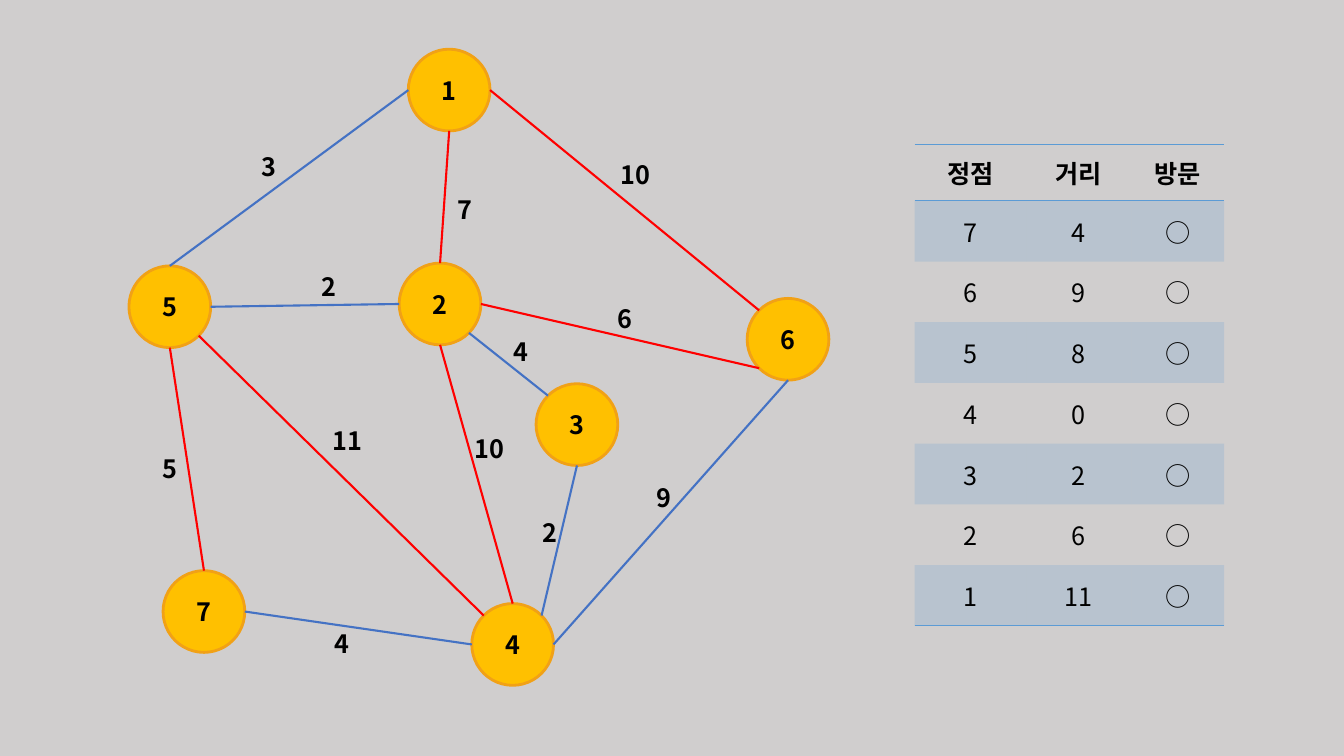
from lxml import etree
from pptx import Presentation, util as u
from pptx.dml.color import RGBColor
from pptx.enum import shapes, text
from pptx.oxml.ns import qn

FONT = "Noto Sans CJK KR"
BLACK = RGBColor(0x00, 0x00, 0x00)
GREY = RGBColor(0xD0, 0xCE, 0xCE)
GOLD = RGBColor(0xFF, 0xC0, 0x00)
ORANGE = RGBColor(0xF1, 0xA1, 0x16)
RED = RGBColor(0xFF, 0x00, 0x00)
BLUE = RGBColor(0x44, 0x72, 0xC4)
SKY = RGBColor(0x5B, 0x9B, 0xD5)
NO_TABLE_STYLE = "{2D5ABB26-0587-4C30-8999-92F81FD0307C}"

RADIUS = 1.03
DIAGONAL = 0.5 ** 0.5
SIDES = {
    "N": (0, -1), "E": (1, 0), "S": (0, 1), "W": (-1, 0),
    "NE": (DIAGONAL, -DIAGONAL), "SE": (DIAGONAL, DIAGONAL),
    "SW": (-DIAGONAL, DIAGONAL), "NW": (-DIAGONAL, -DIAGONAL),
}
# Vertex centres in cm
VERTICES = {
    1: (11.32, 2.27), 6: (19.86, 8.55), 5: (4.28, 7.73), 4: (12.92, 16.24),
    7: (5.14, 15.41), 3: (14.54, 10.7), 2: (11.09, 7.66),
}
# Start vertex and side, end vertex and side, colour, weight, label corner in cm
EDGES = [
    (1, "E", 6, "NW", RED, 10, (15.39, 3.89)),
    (5, "N", 1, "W", BLUE, 3, (6.33, 3.7)),
    (2, "E", 6, "SW", RED, 6, (15.3, 7.52)),
    (3, "S", 4, "NE", BLUE, 2, (13.41, 12.9)),
    (4, "E", 6, "S", BLUE, 9, (16.29, 12.02)),
    (2, "SE", 3, "NW", BLUE, 4, (12.7, 8.36)),
    (5, "S", 7, "N", RED, 5, (3.84, 11.3)),
    (1, "S", 2, "N", RED, 7, (11.28, 4.78)),
    (5, "E", 2, "W", BLUE, 2, (7.85, 6.71)),
    (2, "S", 4, "N", RED, 10, (11.71, 10.8)),
    (7, "E", 4, "W", BLUE, 4, (8.18, 15.7)),
    (5, "SE", 4, "NW", RED, 11, (8.13, 10.59)),
]
DISTANCES = [
    ("정점", "거리", "방문"),
    (7, 4, "○"), (6, 9, "○"), (5, 8, "○"), (4, 0, "○"),
    (3, 2, "○"), (2, 6, "○"), (1, 11, "○"),
]


def write(frame, words, bold=True, align=text.PP_ALIGN.CENTER):
    para = frame.paragraphs[0]
    para.alignment = align
    span = para.add_run()
    span.text = str(words)
    span.font.color.rgb = BLACK
    for name, value in {"name": FONT, "size": u.Pt(18), "bold": bold}.items():
        setattr(span.font, name, value)
    east_asian = etree.SubElement(span.font._element, qn("a:ea"))
    east_asian.set("typeface", FONT)


def rim_point(vertex, side):
    """Return the point on a vertex circle at a compass side."""
    return [u.Cm(centre + RADIUS * step)
            for centre, step in zip(VERTICES[vertex], SIDES[side])]


deck = Presentation()
deck.slide_width, deck.slide_height = u.Cm(33.87), u.Cm(19.05)
page = deck.slides.add_slide(deck.slide_layouts[6])
page.background.fill.solid()
page.background.fill.fore_color.rgb = GREY

# Distance table
last_row = len(DISTANCES) - 1
table = page.shapes.add_table(
    len(DISTANCES), 3, u.Cm(23.05), u.Cm(3.64), u.Cm(7.8), u.Cm(12.13)).table
table._tbl.tblPr.find(qn("a:tableStyleId")).text = NO_TABLE_STYLE
table.first_row = table.horz_banding = False
for column, width in zip(table.columns, (2.82, 2.64, 2.34)):
    column.width = u.Cm(width)
for index, values in enumerate(DISTANCES):
    table.rows[index].height = u.Cm(1.53 if index else 1.42)
    for cell, value in zip(table.rows[index].cells, values):
        cell.vertical_anchor = text.MSO_ANCHOR.MIDDLE
        write(cell.text_frame, value, bold=index == 0)
        properties = cell._tc.get_or_add_tcPr()
        if index % 2:
            cell.fill.solid()
            cell.fill.fore_color.rgb = SKY
            tint = properties.find(".//" + qn("a:srgbClr"))
            etree.SubElement(tint, qn("a:alpha")).set("val", "20000")
        else:
            cell.fill.background()
        borders = {0: ("lnT", "lnB"), last_row: ("lnB",)}.get(index, ())
        for place, border in enumerate(borders):
            line = etree.Element(qn("a:" + border), w=str(u.Pt(1)))
            paint = etree.SubElement(line, qn("a:solidFill"))
            etree.SubElement(paint, qn("a:srgbClr")).set("val", str(SKY))
            properties.insert(place, line)

# Graph vertices
for number, (x, y) in VERTICES.items():
    circle = page.shapes.add_shape(
        shapes.MSO_SHAPE.OVAL, u.Cm(x - RADIUS), u.Cm(y - RADIUS),
        u.Cm(2 * RADIUS), u.Cm(2 * RADIUS))
    circle.shadow.inherit = False
    circle.fill.solid()
    circle.fill.fore_color.rgb = GOLD
    circle.line.color.rgb = ORANGE
    circle.line.width = u.Pt(2)
    circle.text_frame.vertical_anchor = text.MSO_ANCHOR.MIDDLE
    write(circle.text_frame, number)

# Graph edges
for start, start_side, end, end_side, colour, weight, corner in EDGES:
    edge = page.shapes.add_connector(
        shapes.MSO_CONNECTOR.STRAIGHT,
        *rim_point(start, start_side), *rim_point(end, end_side))
    edge.line.color.rgb = colour
    edge.line.width = u.Pt(1.5)
    etree.SubElement(edge._element.spPr, qn("a:effectLst"))

# Edge weights
for *_, weight, (x, y) in EDGES:
    box = page.shapes.add_textbox(
        u.Cm(x), u.Cm(y), u.Cm(1.3 if weight > 9 else 0.9), u.Cm(1.02))
    box.text_frame.word_wrap = False
    box.text_frame.auto_size = text.MSO_AUTO_SIZE.SHAPE_TO_FIT_TEXT
    write(box.text_frame, weight, align=text.PP_ALIGN.LEFT)

deck.save("out.pptx")
